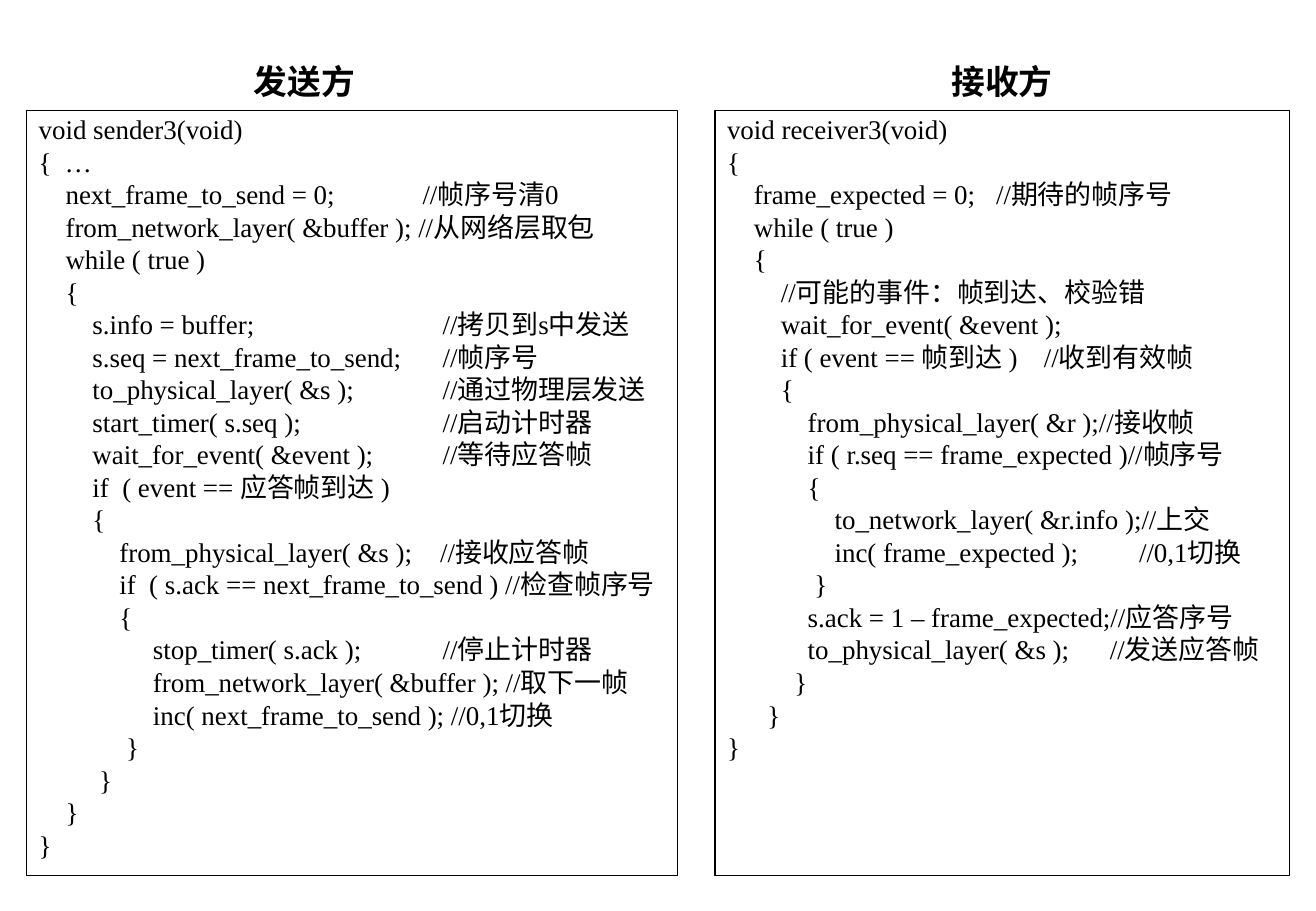
from dataclasses import dataclass

from lxml import etree
from pptx import Presentation
from pptx.dml.color import RGBColor
from pptx.enum import shapes, text
from pptx.oxml import ns
from pptx.util import Cm, Pt


@dataclass(frozen=True)
class Theme:
    ink: RGBColor = RGBColor(0, 0, 0)
    font: str = "Times New Roman"
    heading: int = 20
    code: int = 16
    border: float = 0.75


THEME = Theme()

SENDER = [
    "void sender3(void)",
    "{  …",
    ("    next_frame_to_send = 0;", "//帧序号清0", 8.03),
    "    from_network_layer( &buffer ); //从网络层取包",
    "    while ( true )",
    "    {",
    ("        s.info = buffer;", "//拷贝到s中发送", 8.45),
    ("        s.seq = next_frame_to_send;", "//帧序号", 8.45),
    ("        to_physical_layer( &s );", "//通过物理层发送", 8.45),
    ("        start_timer( s.seq );", "//启动计时器", 8.45),
    ("        wait_for_event( &event );", "//等待应答帧", 8.45),
    "        if  ( event == 应答帧到达 )",
    "        {",
    ("            from_physical_layer( &s );", "//接收应答帧", 8.4),
    "            if  ( s.ack == next_frame_to_send ) //检查帧序号",
    "            {",
    ("                 stop_timer( s.ack );", "//停止计时器", 8.45),
    "                 from_network_layer( &buffer ); //取下一帧",
    "                 inc( next_frame_to_send ); //0,1切换",
    "             }",
    "         }",
    "    }",
    "}",
]

RECEIVER = [
    "void receiver3(void)",
    "{",
    ("    frame_expected = 0;", "//期待的帧序号", 5.63),
    "    while ( true )",
    "    {",
    "        //可能的事件：帧到达、校验错",
    "        wait_for_event( &event );",
    ("        if ( event == 帧到达 )", "//收到有效帧", 6.63),
    "        {",
    "            from_physical_layer( &r );//接收帧",
    "            if ( r.seq == frame_expected )//帧序号",
    "            {",
    "                to_network_layer( &r.info );//上交",
    ("                inc( frame_expected );", "//0,1切换", 8.62),
    "             }",
    "            s.ack = 1 – frame_expected;//应答序号",
    ("            to_physical_layer( &s );", "//发送应答帧", 8.01),
    "          }",
    "      }",
    "}",
]


def add_tab_stop(p, position):
    tabs = etree.SubElement(p._p.get_or_add_pPr(), ns.qn("a:tabLst"))
    etree.SubElement(tabs, ns.qn("a:tab"), pos=str(Cm(position)), algn="l")


def write(p, content, *, size, bold=False, align=text.PP_ALIGN.LEFT,
          spacing=0.9, before=0, tab=None):
    p.alignment = align
    p.line_spacing = spacing
    p.space_before = Pt(before)
    if tab is not None:
        add_tab_stop(p, tab)
    r = p.add_run()
    r.text = content
    r.font.name = THEME.font
    r.font.size = Pt(size)
    r.font.bold = bold
    r.font.color.rgb = THEME.ink


def add_heading(s, content, left):
    box = s.shapes.add_textbox(Cm(left), Cm(1.32), Cm(4.39), Cm(0.99))
    tf = box.text_frame
    tf.word_wrap = True
    write(tf.paragraphs[0], content, size=THEME.heading, bold=True,
          align=text.PP_ALIGN.CENTER, spacing=0.8)


def add_code_panel(s, lines, left, width):
    sp = s.shapes.add_shape(shapes.MSO_SHAPE.RECTANGLE,
                            Cm(left), Cm(2.31), Cm(width), Cm(16))
    sp.shadow.inherit = False
    sp.fill.background()
    sp.line.color.rgb = THEME.ink
    sp.line.width = Pt(THEME.border)
    tf = sp.text_frame
    tf.word_wrap = True
    tf.vertical_anchor = text.MSO_ANCHOR.TOP
    for i, line in enumerate(lines):
        p = tf.add_paragraph() if i else tf.paragraphs[0]
        tab = None
        if isinstance(line, tuple):
            code, comment, tab = line
            line = f"{code}\t{comment}"
        write(p, line, size=THEME.code, before=2 if i else 0, tab=tab)


def main():
    prs = Presentation()
    prs.slide_width, prs.slide_height = Cm(27.53), Cm(19.05)
    s = prs.slides.add_slide(prs.slide_layouts[6])
    add_code_panel(s, SENDER, 0.56, 13.61)
    add_code_panel(s, RECEIVER, 14.96, 12.01)
    add_heading(s, "发送方", 4.17)
    add_heading(s, "接收方", 18.77)
    prs.save("out.pptx")


if __name__ == "__main__":
    main()
